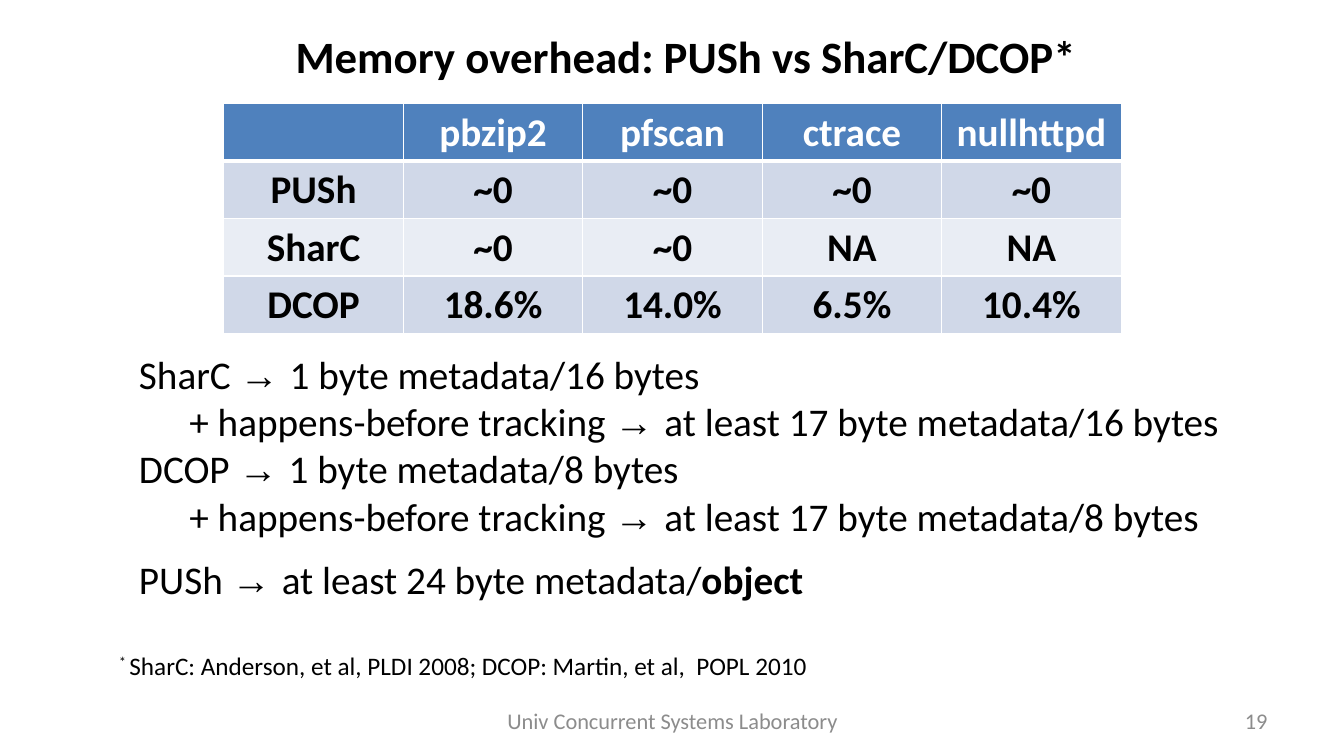
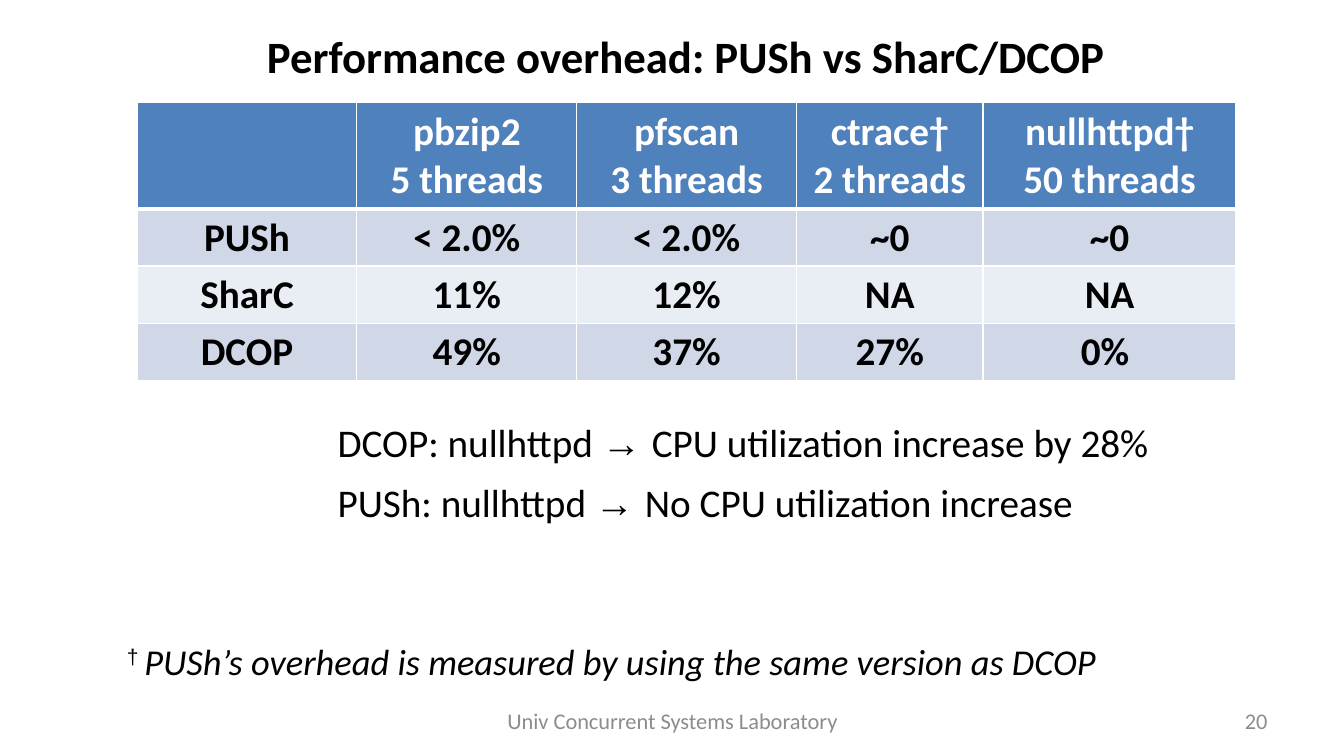
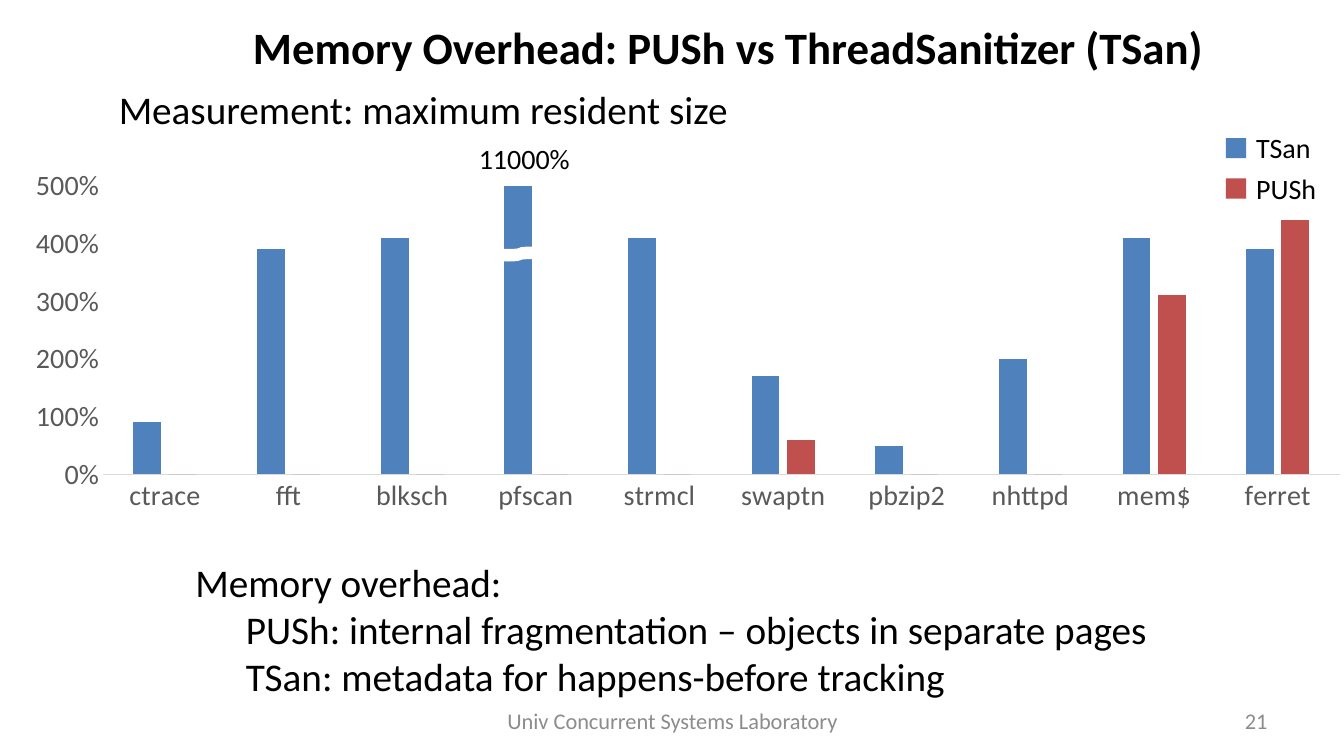
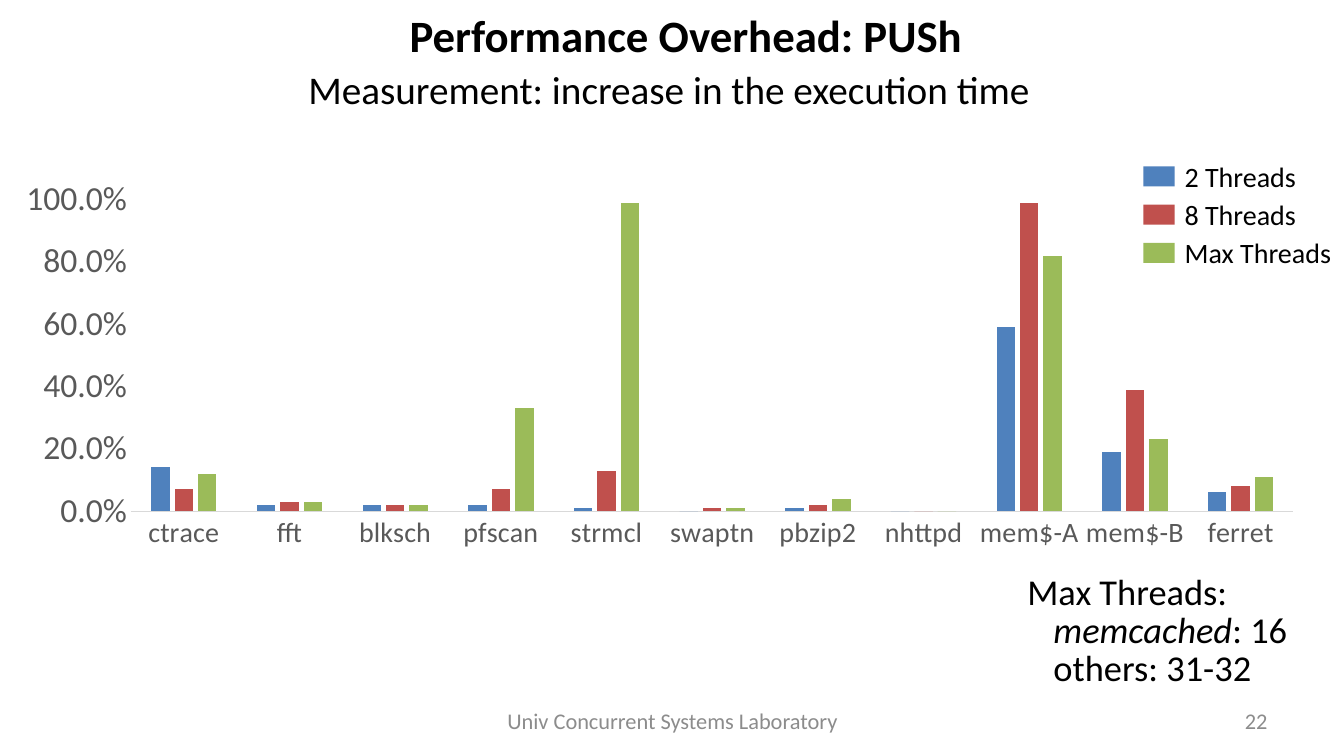
from dataclasses import dataclass, field

from lxml.etree import SubElement
from pptx import Presentation
from pptx.chart.data import CategoryChartData
from pptx.dml.color import RGBColor
from pptx.enum.chart import XL_CHART_TYPE as ChartType, XL_TICK_MARK as TickMark
from pptx.enum.shapes import MSO_SHAPE as Shape
from pptx.enum.text import MSO_ANCHOR as Anchor, PP_ALIGN as Align
from pptx.oxml import parse_xml
from pptx.oxml.ns import nsdecls, qn
from pptx.util import Inches, Pt


@dataclass(frozen=True)
class Theme:
    font: str = "Calibri"
    symbol_font: str = "Arial"
    text: str = "000000"
    white: str = "FFFFFF"
    footer: str = "8C8C8C"
    axis_text: str = "595959"
    axis_line: str = "D9D9D9"
    series: tuple = ("4F81BD", "C0504D", "9BBB59")
    header: str = "4F81BD"
    bands: tuple = ("D0D8E8", "E9EDF4")
    title_size: int = 32
    body_size: int = 28
    remark_size: int = 26
    label_size: int = 20
    note_size: int = 18
    footer_size: int = 16


THEME = Theme()


@dataclass(frozen=True)
class Box:
    left: float
    top: float
    width: float
    height: float

    def lengths(self):
        return [Inches(n) for n in (self.left, self.top, self.width, self.height)]


@dataclass
class Span:
    text: str
    font: str = THEME.font
    bold: bool = False
    italic: bool = False
    raised: bool = False


@dataclass
class Para:
    spans: list = field(default_factory=list)
    indent: float = 0
    before: float = 0
    line: float = 0


def plain(text, **layout):
    return Para([Span(text)], **layout)


def arrow(source, target, *more, **layout):
    """A paragraph whose two parts are joined by an arrow."""
    return Para([Span(source), Span("→ ", font=THEME.symbol_font), Span(target), *more],
                **layout)


def rgb(colour):
    return RGBColor.from_string(colour)


def style_font(font, size, colour, name=THEME.font, bold=False, italic=False):
    font.name, font.size, font.bold, font.italic = name, Pt(size), bold, italic
    font.color.rgb = rgb(colour)


def write(frame, paras, size, colour=THEME.text, align=Align.LEFT):
    for index, item in enumerate(paras):
        para = frame.paragraphs[0] if index == 0 else frame.add_paragraph()
        para.alignment = align
        para.space_before = Pt(item.before)
        if item.line:
            para.line_spacing = Pt(item.line)
        if item.indent:
            para._p.get_or_add_pPr().set("marL", str(Inches(item.indent)))
        for part in item.spans:
            span = para.add_run()
            span.text = part.text
            style_font(span.font, size, colour, part.font, part.bold, part.italic)
            if part.raised:
                span._r.get_or_add_rPr().set("baseline", "30000")


def add_text(page, box, paras, size=THEME.body_size, anchor=Anchor.TOP, **style):
    frame = page.shapes.add_textbox(*box.lengths()).text_frame
    frame.word_wrap = True
    frame.vertical_anchor = anchor
    write(frame, paras, size, **style)
    return frame


def add_block(page, kind, box, fill, line_width=0):
    block = page.shapes.add_shape(kind, *box.lengths())
    block.shadow.inherit = False
    block.fill.solid()
    block.fill.fore_color.rgb = rgb(fill)
    if line_width:
        block.line.color.rgb = rgb(fill)
        block.line.width = Pt(line_width)
    else:
        block.line.fill.background()
    return block


def add_page(deck, number, title, title_box):
    """A blank slide with the shared title and footer."""
    page = deck.slides.add_slide(deck.slide_layouts[6])
    add_text(page, title_box, [Para([Span(title, bold=True)])], THEME.title_size,
             Anchor.MIDDLE, align=Align.CENTER)
    footers = ((Box(4.56, 6.95, 4.22, 0.4), "Univ Concurrent Systems Laboratory", Align.CENTER),
               (Box(9.56, 6.95, 3.11, 0.4), str(number), Align.RIGHT))
    for box, text, align in footers:
        add_text(page, box, [plain(text)], THEME.footer_size, Anchor.MIDDLE,
                 colour=THEME.footer, align=align)
    return page


def border_cell(cell, bottom):
    """White cell borders, one point wide except at the bottom."""
    props = cell._tc.get_or_add_tcPr()
    for side, width in (("lnL", 1), ("lnR", 1), ("lnT", 1), ("lnB", bottom)):
        line = SubElement(props, qn(f"a:{side}"), w=str(Pt(width)))
        fill = SubElement(line, qn("a:solidFill"))
        SubElement(fill, qn("a:srgbClr"), val=THEME.white)


def add_table(page, box, widths, rows, header_height):
    table = page.shapes.add_table(len(rows), len(widths), *box.lengths()).table
    for column, width in zip(table.columns, widths):
        column.width = Inches(width)
    row_height = (box.height - header_height) / (len(rows) - 1)
    for index, texts in enumerate(rows):
        is_header = index == 0
        table.rows[index].height = Inches(header_height if is_header else row_height)
        fill = THEME.header if is_header else THEME.bands[(index - 1) % 2]
        for column, text in enumerate(texts):
            cell = table.cell(index, column)
            border_cell(cell, 3 if is_header else 1)
            cell.fill.solid()
            cell.fill.fore_color.rgb = rgb(fill)
            paras = [Para([Span(line, bold=True)]) for line in text.split("\n")]
            write(cell.text_frame, paras, THEME.body_size,
                  THEME.white if is_header else THEME.text, Align.CENTER)


def set_plot_area(chart, x, y, w, h):
    area = chart._chartSpace.chart.plotArea
    for old in area.findall(qn("c:layout")):
        area.remove(old)
    places = "".join(f'<c:{name} val="{value}"/>'
                     for name, value in zip("xywh", (x, y, w, h)))
    area.insert(0, parse_xml(
        f'<c:layout {nsdecls("c")}><c:manualLayout><c:layoutTarget val="inner"/>'
        f'<c:xMode val="edge"/><c:yMode val="edge"/>{places}'
        '</c:manualLayout></c:layout>'))


def add_columns(page, box, categories, series, top, step, number_format, value_size):
    data = CategoryChartData()
    data.categories = categories
    for index, values in enumerate(series, 1):
        data.add_series(f"Series {index}", values)
    chart = page.shapes.add_chart(ChartType.COLUMN_CLUSTERED, *box.lengths(), data).chart
    chart.has_legend = chart.has_title = False
    style_font(chart.font, 10, THEME.text)

    plot = chart.plots[0]
    plot.gap_width, plot.overlap, plot.vary_by_categories = 219, -27, False
    for bars, colour in zip(plot.series, THEME.series):
        bars.format.fill.solid()
        bars.format.fill.fore_color.rgb = rgb(colour)
        bars.invert_if_negative = False

    names, values = chart.category_axis, chart.value_axis
    for axis, size in ((names, THEME.label_size), (values, value_size)):
        axis.major_tick_mark = axis.minor_tick_mark = TickMark.NONE
        axis.has_major_gridlines = False
        style_font(axis.tick_labels.font, size, THEME.axis_text)
    names.format.line.color.rgb = rgb(THEME.axis_line)
    names.format.line.width = Pt(0.75)
    values.format.line.fill.background()
    values.minimum_scale, values.maximum_scale, values.major_unit = 0, top, step
    values.tick_labels.number_format = number_format
    values.tick_labels.number_format_is_linked = False
    return chart


def add_legend(page, box, names, step, swatch_width):
    """Colour swatches one step apart, each with its label to the right."""
    swatch_height, label_height = 0.2, 0.44
    for index, (name, colour) in enumerate(zip(names, THEME.series)):
        top = box.top + index * step
        add_block(page, Shape.RECTANGLE,
                  Box(box.left, top + (label_height - swatch_height) / 2,
                      swatch_width, swatch_height), colour)
        label = Box(box.left + swatch_width, top, box.width - swatch_width, label_height)
        add_text(page, label, [plain(name)], THEME.label_size).margin_right = 0


def memory_table_page(deck):
    page = add_page(deck, 19, "Memory overhead: PUSh vs SharC/DCOP*",
                    Box(2.17, 0.21, 9.27, 0.69))
    add_table(page, Box(2.22, 1.03, 8.9, 2.28), [1.78] * 5, [
        ("", "pbzip2", "pfscan", "ctrace", "nullhttpd"),
        ("PUSh", "~0", "~0", "~0", "~0"),
        ("SharC", "~0", "~0", "NA", "NA"),
        ("DCOP", "18.6%", "14.0%", "6.5%", "10.4%"),
    ], header_height=0.57)
    tracking = "+ happens-before tracking "
    add_text(page, Box(1.28, 3.43, 11.38, 2.63), [
        arrow("SharC ", "1 byte metadata/16 bytes"),
        arrow(tracking, "at least 17 byte metadata/16 bytes", indent=0.5),
        arrow("DCOP ", "1 byte metadata/8 bytes"),
        arrow(tracking, "at least 17 byte metadata/8 bytes", indent=0.5),
        arrow("PUSh ", "at least 24 byte metadata/", Span("object", bold=True), before=12),
    ])
    add_text(page, Box(1.08, 6.4, 7.39, 0.4), [Para([
        Span("* ", raised=True),
        Span("SharC: Anderson, et al, PLDI 2008; DCOP: Martin, et al,  POPL 2010"),
    ])], THEME.note_size)


def performance_table_page(deck):
    page = add_page(deck, 20, "Performance overhead: PUSh vs SharC/DCOP",
                    Box(2.17, 0.21, 9.27, 0.69))
    add_table(page, Box(1.36, 1.02, 10.9, 2.76), [2.18, 2.18, 2.18, 1.85, 2.51], [
        ("", "pbzip2\n5 threads", "pfscan\n3 threads", "ctrace†\n2 threads",
         "nullhttpd†\n50 threads"),
        ("PUSh", "< 2.0%", "< 2.0%", "~0", "~0"),
        ("SharC", "11%", "12%", "NA", "NA"),
        ("DCOP", "49%", "37%", "27%", "0% "),
    ], header_height=1.05)
    add_text(page, Box(3.25, 4.1, 8.54, 1.17), [
        arrow("DCOP: nullhttpd ", "CPU utilization increase by 28%", before=9),
        arrow("PUSh: nullhttpd ", "No CPU utilization increase", before=9),
    ])
    add_text(page, Box(1.16, 6.29, 9.95, 0.54), [Para([
        Span("† ", font=THEME.symbol_font, raised=True),
        Span("PUSh’s overhead is measured by using the same version as DCOP", italic=True),
    ])], THEME.remark_size)


def memory_chart_page(deck):
    page = add_page(deck, 21, "Memory Overhead: PUSh vs ThreadSanitizer (TSan)",
                    Box(2.17, 0.12, 10.11, 0.69))
    chart = add_columns(
        page, Box(0.09, 1.62, 13.33, 3.72),
        ["ctrace", "fft", "blksch", "pfscan", "strmcl", "swaptn", "pbzip2", "nhttpd",
         "mem$", "ferret"],
        [(0.9, 3.9, 4.1, 110, 4.1, 1.7, 0.5, 2, 4.1, 3.9),
         (0, 0, 0, 0, 0, 0.6, 0, 0, 3.1, 4.4)],
        top=5, step=1, number_format="0%", value_size=20)
    set_plot_area(chart, 0.07, 0.06, 0.92, 0.77)
    bar_break = add_block(page, Shape.FLOWCHART_PUNCHED_TAPE,
                          Box(4.92, 2.46, 0.47, 0.12), THEME.white, line_width=2)
    bar_break.rotation = 180
    add_text(page, Box(4.65, 1.35, 1.49, 0.44), [plain("11000%")], THEME.label_size)
    add_legend(page, Box(12.16, 1.25, 1.17, 0.84), ["TSan", "PUSh"],
               step=0.4, swatch_width=0.2)
    add_text(page, Box(1.08, 0.8, 7.76, 0.57), [plain("Measurement: maximum resident size")])
    add_text(page, Box(1.84, 5.49, 10.52, 1.51), [
        plain("Memory overhead:"),
        plain("PUSh: internal fragmentation – objects in separate pages", indent=0.5),
        plain("TSan: metadata for happens-before tracking", indent=0.5),
    ])


def performance_chart_page(deck):
    page = add_page(deck, 22, "Performance Overhead: PUSh", Box(2.17, 0, 9.27, 0.69))
    add_columns(
        page, Box(0, 1.7, 13.09, 3.83),
        ["ctrace", "fft", "blksch", "pfscan", "strmcl", "swaptn", "pbzip2", "nhttpd",
         "mem$-A", "mem$-B", "ferret"],
        [(0.14, 0.02, 0.02, 0.02, 0.01, 0, 0.01, 0, 0.59, 0.19, 0.06),
         (0.07, 0.03, 0.02, 0.07, 0.13, 0.01, 0.02, 0, 0.99, 0.39, 0.08),
         (0.12, 0.03, 0.02, 0.33, 0.99, 0.01, 0.04, 0, 0.82, 0.23, 0.11)],
        top=1, step=0.2, number_format="0.0%", value_size=24)
    add_text(page, Box(2.96, 0.6, 7.42, 0.57),
             [plain("Measurement: increase in the execution time")])
    add_legend(page, Box(11.34, 1.53, 1.99, 1.2), ["2 Threads", "8 Threads", "Max Threads"],
               step=0.38, swatch_width=0.31)
    add_text(page, Box(10.09, 5.66, 2.82, 1.24), [
        plain("Max Threads:", line=27),
        Para([Span("memcached", italic=True), Span(": 16")], indent=0.26, line=27),
        plain("others: 31-32", indent=0.26, line=27),
    ], THEME.remark_size)


def main():
    deck = Presentation()
    deck.slide_width, deck.slide_height = Inches(13.33), Inches(7.5)
    for build in (memory_table_page, performance_table_page,
                  memory_chart_page, performance_chart_page):
        build(deck)
    deck.save("out.pptx")


if __name__ == "__main__":
    main()
